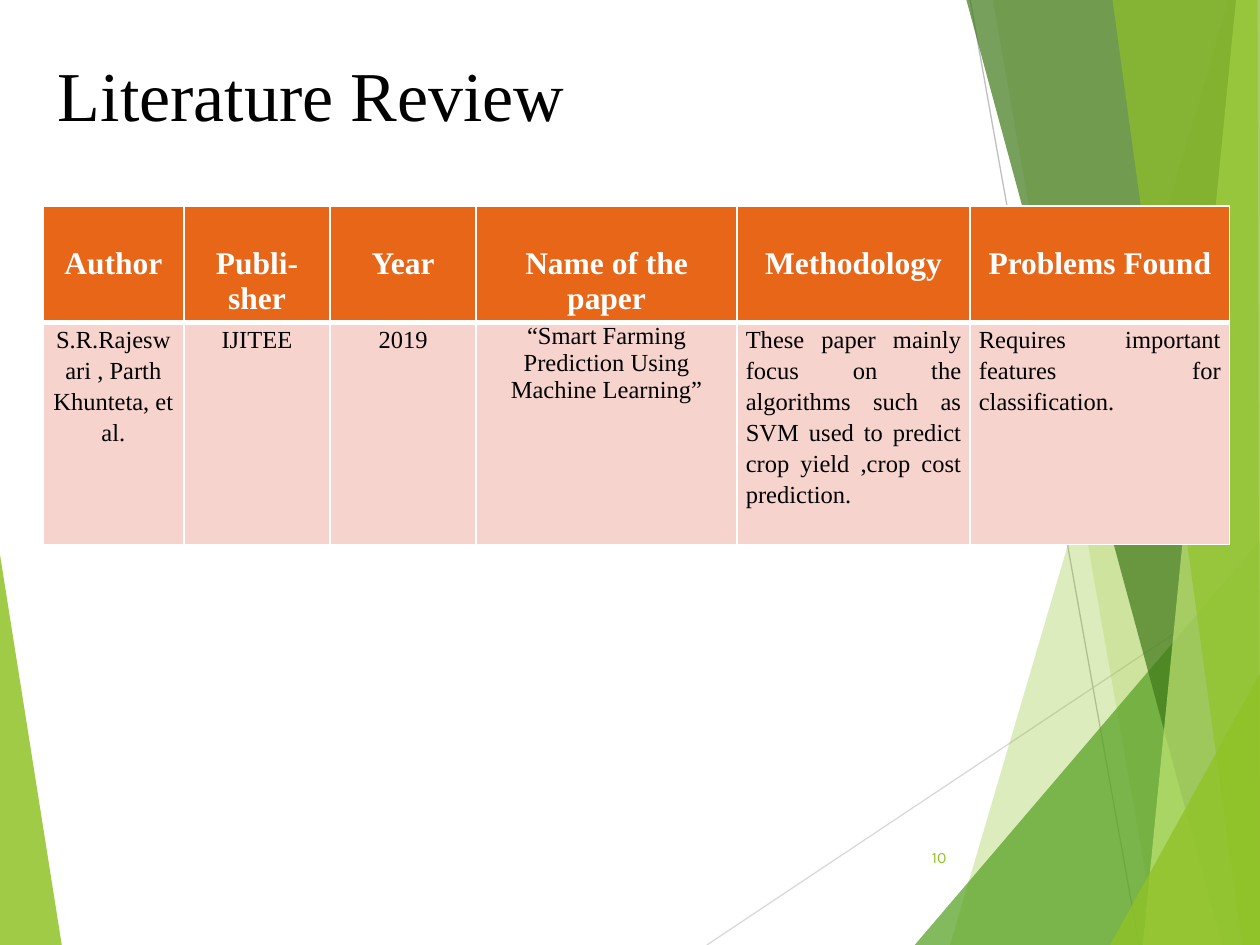
from lxml import etree
from pptx import Presentation
from pptx.dml.color import RGBColor
from pptx.enum.shapes import MSO_CONNECTOR
from pptx.enum.text import MSO_ANCHOR, PP_ALIGN
from pptx.oxml.ns import qn
from pptx.util import Inches, Pt

WIDTH, HEIGHT = Inches(10), Inches(7.5)
SERIF, SANS = "Times New Roman", "Karla"

WHITE = RGBColor(0xFF, 0xFF, 0xFF)
BLACK = RGBColor(0, 0, 0)
LIME = RGBColor(0x90, 0xC2, 0x26)
PALE_LIME = RGBColor(0xC0, 0xE4, 0x74)
GREEN = RGBColor(0x54, 0xA0, 0x21)
DARK_GREEN = RGBColor(0x3F, 0x78, 0x19)
LIGHT_GREY = RGBColor(0xD9, 0xD9, 0xD9)
GREY = RGBColor(0xBF, 0xBF, 0xBF)
ORANGE = RGBColor(0xE7, 0x66, 0x18)
PINK = RGBColor(0xF6, 0xD3, 0xCC)

# Corners and ends are percentages of the slide's width and height.
LEFT_FACET = ([(0, 58.7), (4.9, 100), (0, 100)], LIME, 85)
RAYS = [
    ((56.1, 100), (100, 61), LIGHT_GREY),
    ((77, 0), (90.4, 100), GREY),
]
RIGHT_FACETS = [
    ([(97.5, 0), (75.4, 100), (100, 100), (100, 0)], LIME, 30),
    ([(78.8, 0), (91.9, 100), (100, 100), (100, 0)], LIME, 20),
    ([(72.6, 100), (100, 57.2), (100, 100)], GREEN, 72),
    ([(76.7, 0), (97, 100), (100, 100), (100, 0)], DARK_GREEN, 70),
    ([(98.1, 0), (90.7, 100), (100, 100), (100, 0)], PALE_LIME, 70),
    ([(88.3, 0), (98.6, 100), (100, 100), (99.8, 0)], LIME, 65),
    ([(88.1, 100), (100, 71.3), (100, 100)], LIME, 80),
]

CENTER, JUSTIFY = PP_ALIGN.CENTER, PP_ALIGN.JUSTIFY
# heading, width in percent of the slide, entry, alignment, line spacing
COLUMNS = [
    ("Author", 11.2, "S.R.Rajeswari , Parth Khunteta, et al.", CENTER, 1.15),
    ("Publi-sher", 11.6, "IJITEE", CENTER, 1.15),
    ("Year", 11.6, "2019", CENTER, 1.15),
    ("Name of the paper", 20.7,
     "“Smart Farming Prediction Using Machine Learning”", CENTER, 1.0),
    ("Methodology", 18.5,
     "These paper mainly focus on the algorithms such as SVM used to "
     "predict crop yield ,crop cost prediction.", JUSTIFY, 1.15),
    ("Problems Found", 20.6,
     "Requires important features for classification.", JUSTIFY, 1.15),
]
HEADER_HEIGHT, ENTRY_HEIGHT = 12.2, 23.5


def x(percent):
    return round(WIDTH * percent / 100)


def y(percent):
    return round(HEIGHT * percent / 100)


def style(p, font, size, color, bold=False, align=PP_ALIGN.LEFT):
    p.alignment = align
    p.font.name = font
    p.font.size = Pt(size)
    p.font.bold = bold
    p.font.color.rgb = color


def add_facet(slide, corners, color, opacity):
    points = [(x(px), y(py)) for px, py in corners]
    builder = slide.shapes.build_freeform(*points[0])
    builder.add_line_segments(points[1:], close=True)
    sp = builder.convert_to_shape()
    sp.shadow.inherit = False
    sp.line.fill.background()
    sp.fill.solid()
    sp.fill.fore_color.rgb = color
    clr = sp.fill._xPr.find(".//" + qn("a:srgbClr"))
    etree.SubElement(clr, qn("a:alpha"), val=str(opacity * 1000))


def add_ray(slide, start, end, color):
    line = slide.shapes.add_connector(
        MSO_CONNECTOR.STRAIGHT, x(start[0]), y(start[1]), x(end[0]), y(end[1]))
    line.line.color.rgb = color
    line.line.width = Pt(0.75)
    etree.SubElement(line._element.spPr, qn("a:effectLst"))


def set_borders(cell, **widths):
    """Draw white borders; widths are points keyed by side: L, R, T, B."""
    tc_pr = cell._tc.get_or_add_tcPr()
    for side, width in widths.items():
        ln = etree.SubElement(tc_pr, qn(f"a:ln{side}"), w=str(Pt(width)))
        fill = etree.SubElement(ln, qn("a:solidFill"))
        etree.SubElement(fill, qn("a:srgbClr"), val=str(WHITE))


def fill_cell(cell, text, color):
    cell.fill.solid()
    cell.fill.fore_color.rgb = color
    cell.text = text
    return cell.text_frame.paragraphs[0]


def add_review_table(slide):
    total = sum(column[1] for column in COLUMNS)
    table = slide.shapes.add_table(
        2, len(COLUMNS), x(3.4), y(21.8), x(total),
        y(HEADER_HEIGHT + ENTRY_HEIGHT)).table
    table.rows[0].height = y(HEADER_HEIGHT)
    table.rows[1].height = y(ENTRY_HEIGHT)
    for i, (heading, width, entry, align, spacing) in enumerate(COLUMNS):
        table.columns[i].width = x(width)

        head = table.cell(0, i)
        set_borders(head, L=1, R=1, T=1, B=3)
        head.margin_top = Inches(0.32)
        p = fill_cell(head, heading, ORANGE)
        style(p, SERIF, 18, WHITE, bold=True, align=CENTER)

        body = table.cell(1, i)
        set_borders(body, L=1, R=1, T=3, B=1)
        body.margin_left = body.margin_right = Inches(0.07)
        body.margin_top = body.margin_bottom = 0
        p = fill_cell(body, entry, PINK)
        p.line_spacing = spacing
        style(p, SERIF, 14, BLACK, align=align)


def set_title(slide, text):
    title = slide.shapes.title
    title.left, title.top, title.width, title.height = (
        x(3.6), y(4.8), x(76.2), y(10.3))
    tf = title.text_frame
    tf.text = text
    tf.vertical_anchor = MSO_ANCHOR.TOP
    style(tf.paragraphs[0], SERIF, 40, BLACK)


def add_page_number(slide, number):
    tf = slide.shapes.add_textbox(x(70.5), y(88.1), x(5.6), y(5.3)).text_frame
    tf.word_wrap = True
    tf.vertical_anchor = MSO_ANCHOR.MIDDLE
    tf.text = number
    style(tf.paragraphs[0], SANS, 9, LIME, align=PP_ALIGN.RIGHT)


def main():
    prs = Presentation()
    prs.slide_width, prs.slide_height = WIDTH, HEIGHT
    slide = prs.slides.add_slide(prs.slide_layouts.get_by_name("Title Only"))
    add_facet(slide, *LEFT_FACET)
    for ray in RAYS:
        add_ray(slide, *ray)
    for facet in RIGHT_FACETS:
        add_facet(slide, *facet)
    add_review_table(slide)
    set_title(slide, "Literature Review")
    add_page_number(slide, "10")
    prs.save("out.pptx")


if __name__ == "__main__":
    main()
